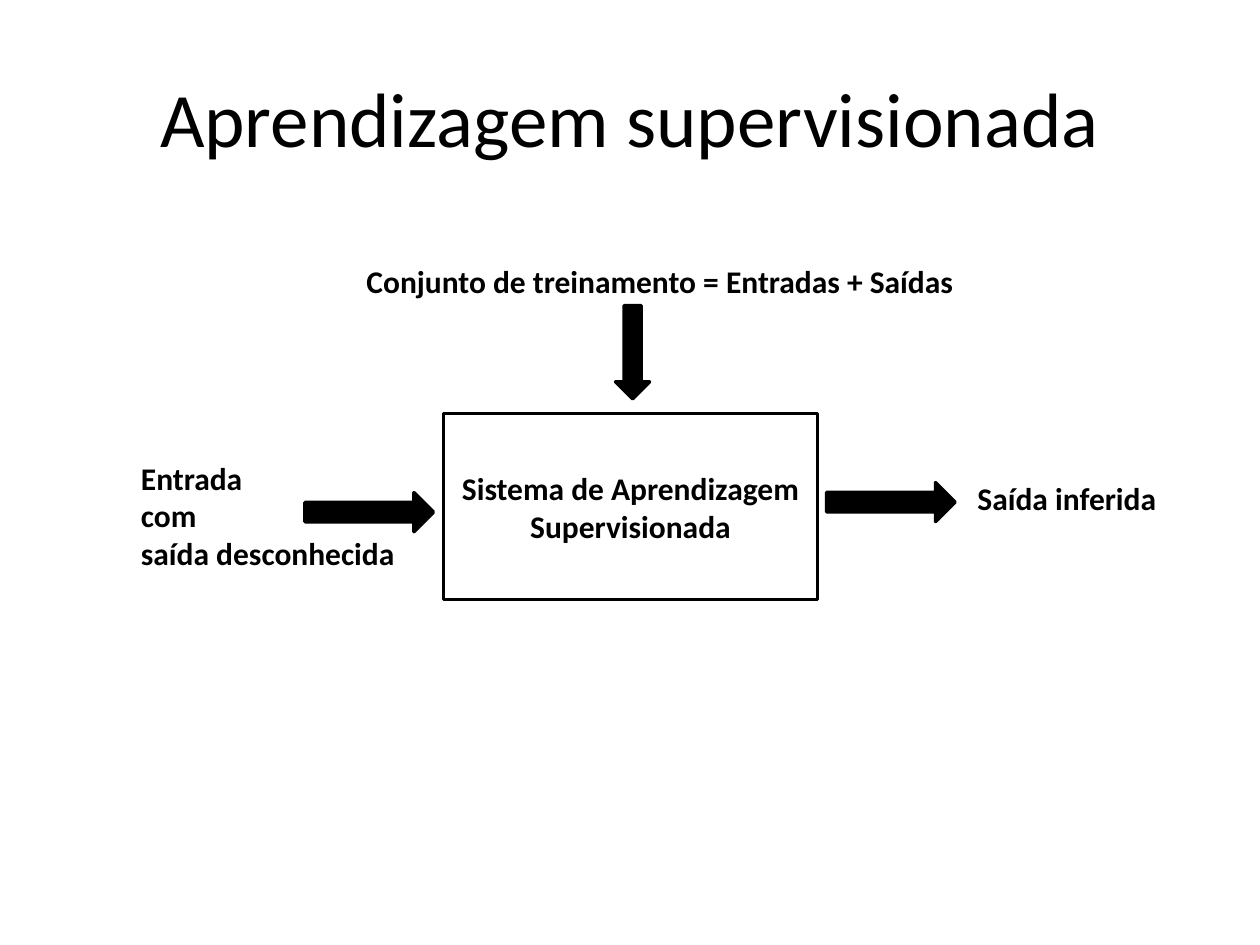
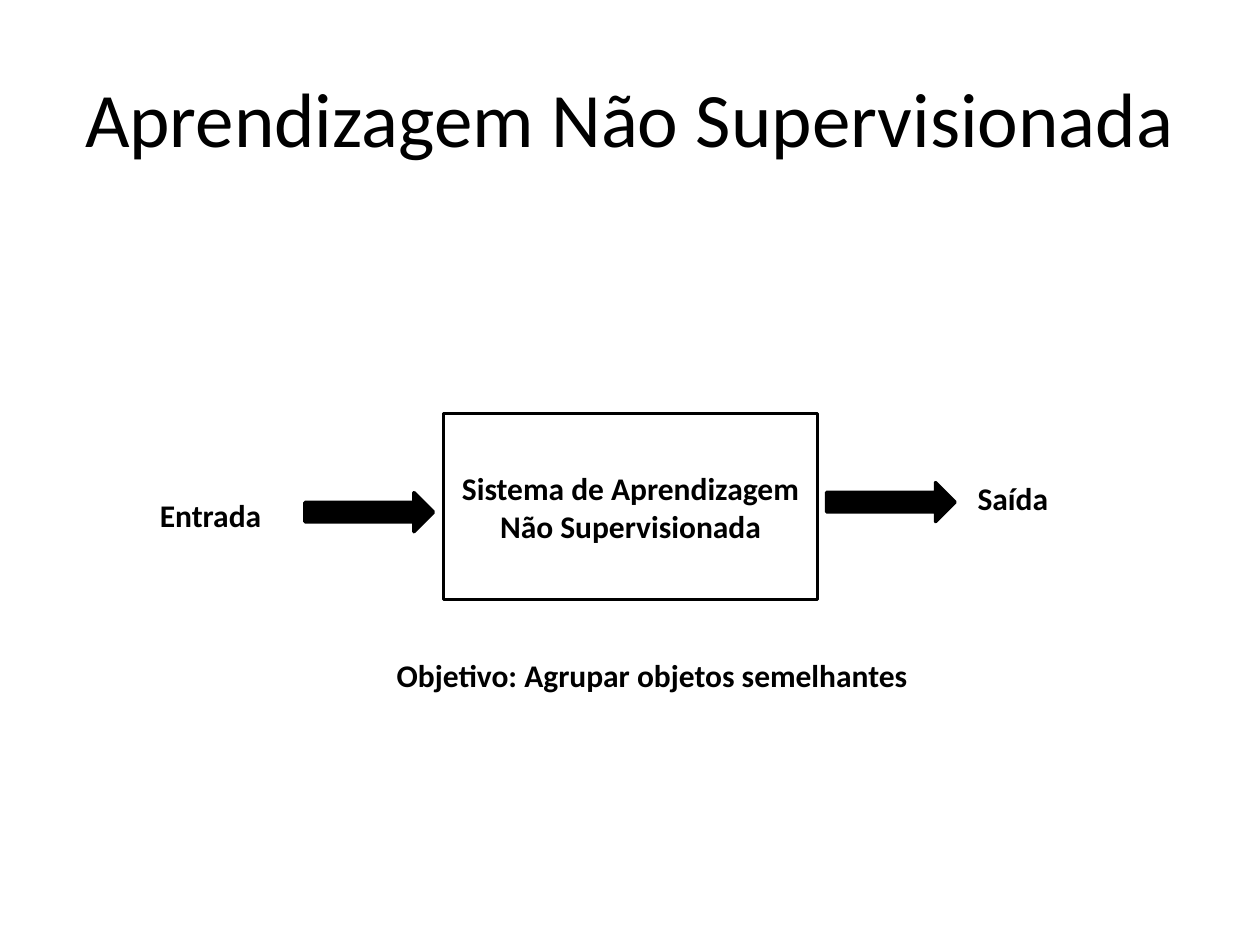
"""Two slides that compare supervised and unsupervised learning."""
from pptx import Presentation
from pptx.dml.color import RGBColor
from pptx.enum.shapes import MSO_SHAPE
from pptx.enum.text import MSO_ANCHOR, MSO_AUTO_SIZE, PP_ALIGN
from pptx.util import Inches, Pt

RECTANGLE = MSO_SHAPE.RECTANGLE
RIGHT_ARROW = MSO_SHAPE.RIGHT_ARROW
MIDDLE = MSO_ANCHOR.MIDDLE
CENTER = PP_ALIGN.CENTER
LEFT = PP_ALIGN.LEFT
FIT_SHAPE = MSO_AUTO_SIZE.SHAPE_TO_FIT_TEXT

FONT = "Calibri"
BLACK = "000000"
WHITE = "FFFFFF"
TITLE_ONLY = 5


def color(hex_code):
    """Return the RGB colour for a hex string."""
    return RGBColor.from_string(hex_code)


def place(s, left, top, width, height):
    """Set position and size of a shape in inches."""
    s.left, s.top = Inches(left), Inches(top)
    s.width, s.height = Inches(width), Inches(height)


def write(tf, text, size=18, bold=True, align=LEFT):
    """Fill a text frame, one paragraph for each line of text."""
    tf.text = text
    for p in tf.paragraphs:
        p.alignment = align
        p.font.name = FONT
        p.font.size = Pt(size)
        p.font.bold = bold
        p.font.color.rgb = color(BLACK)


def add_titled_slide(prs, title):
    """Add a title-only slide with the shared title style."""
    slide = prs.slides.add_slide(prs.slide_layouts[TITLE_ONLY])
    s = slide.shapes.title
    place(s, 0.5, 0.3, 9, 1.25)
    s.text_frame.vertical_anchor = MIDDLE
    write(s.text_frame, title, size=44, bold=False, align=CENTER)
    return slide


def add_outlined(slide, kind, box, fill):
    """Add a preset shape with a black outline."""
    s = slide.shapes.add_shape(kind, *map(Inches, box))
    s.shadow.inherit = False
    s.fill.solid()
    s.fill.fore_color.rgb = color(fill)
    s.line.color.rgb = color(BLACK)
    s.line.width = Pt(2)
    return s


def add_arrow(slide, left, top, width=1.02, height=0.31, rotation=0):
    """Add a solid black block arrow."""
    s = add_outlined(slide, RIGHT_ARROW, (left, top, width, height), BLACK)
    s.rotation = rotation


def add_label(slide, text, left, top, width, height=0.4):
    """Add an unwrapped bold label."""
    s = slide.shapes.add_textbox(*map(Inches, (left, top, width, height)))
    tf = s.text_frame
    tf.word_wrap = False
    tf.auto_size = FIT_SHAPE
    write(tf, text)


def add_system(slide, text):
    """Add the central system box with its input and output arrows."""
    s = add_outlined(slide, RECTANGLE, (3.52, 3.28, 2.97, 1.48), WHITE)
    s.text_frame.word_wrap = True
    s.text_frame.vertical_anchor = MIDDLE
    write(s.text_frame, text, align=CENTER)
    add_arrow(slide, 2.42, 3.91)
    add_arrow(slide, 6.56, 3.83)


def build_supervised(prs):
    """Build the supervised learning slide."""
    slide = add_titled_slide(prs, "Aprendizagem supervisionada")
    add_system(slide, "Sistema de Aprendizagem Supervisionada")
    add_label(slide, "Entrada\ncom\nsaída desconhecida", 1.02, 3.59, 2.29, 1.01)
    add_label(slide, "Saída inferida", 7.66, 3.75, 1.63)
    add_label(slide, "Conjunto de treinamento = Entradas + Saídas",
              2.81, 2.03, 4.88)
    add_arrow(slide, 4.65, 2.66, 0.74, 0.27, rotation=90)


def build_unsupervised(prs):
    """Build the unsupervised learning slide."""
    slide = add_titled_slide(prs, "Aprendizagem Não Supervisionada")
    add_system(slide, "Sistema de Aprendizagem Não Supervisionada")
    add_label(slide, "Entrada", 1.17, 3.89, 1.01)
    add_label(slide, "Saída ", 7.66, 3.75, 0.82)
    add_label(slide, "Objetivo: Agrupar objetos semelhantes", 3.05, 5.16, 4.29)


def main():
    """Build and save the presentation."""
    prs = Presentation()
    prs.slide_width, prs.slide_height = Inches(10), Inches(7.5)
    build_supervised(prs)
    build_unsupervised(prs)
    prs.save("out.pptx")


main()
